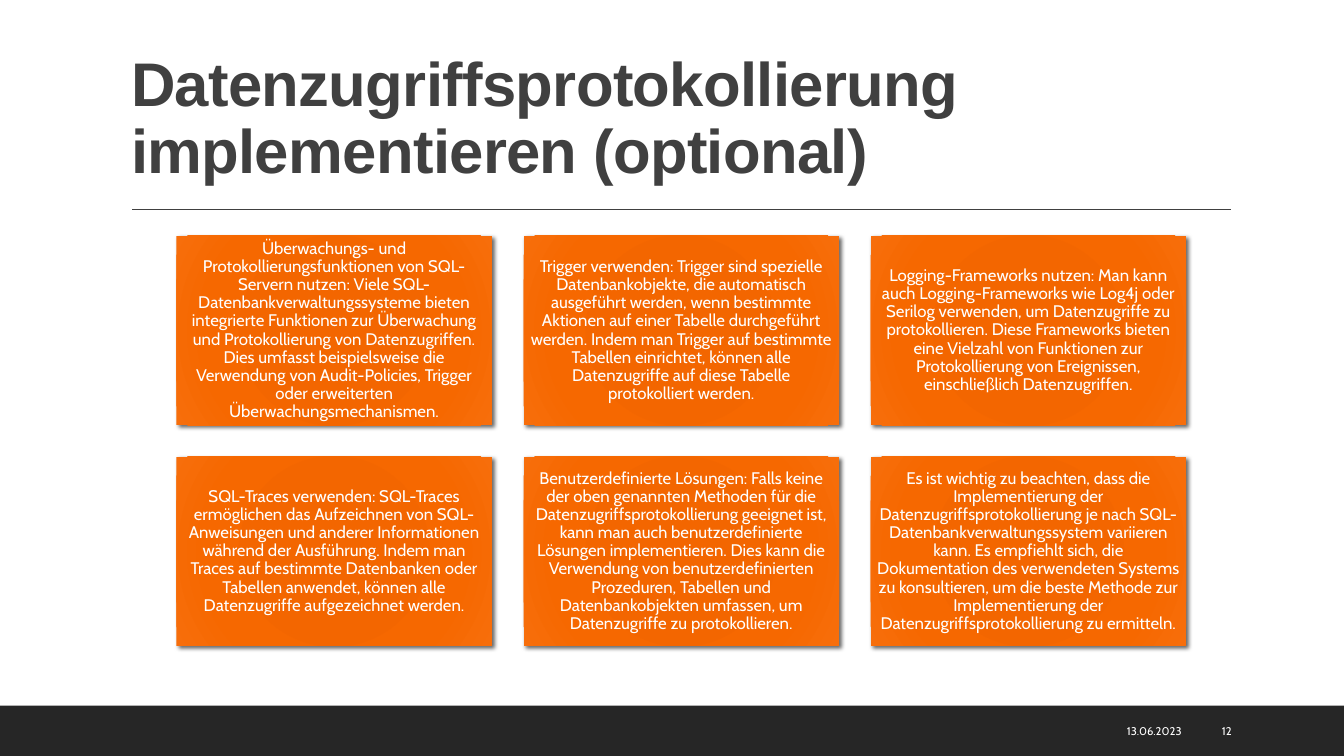
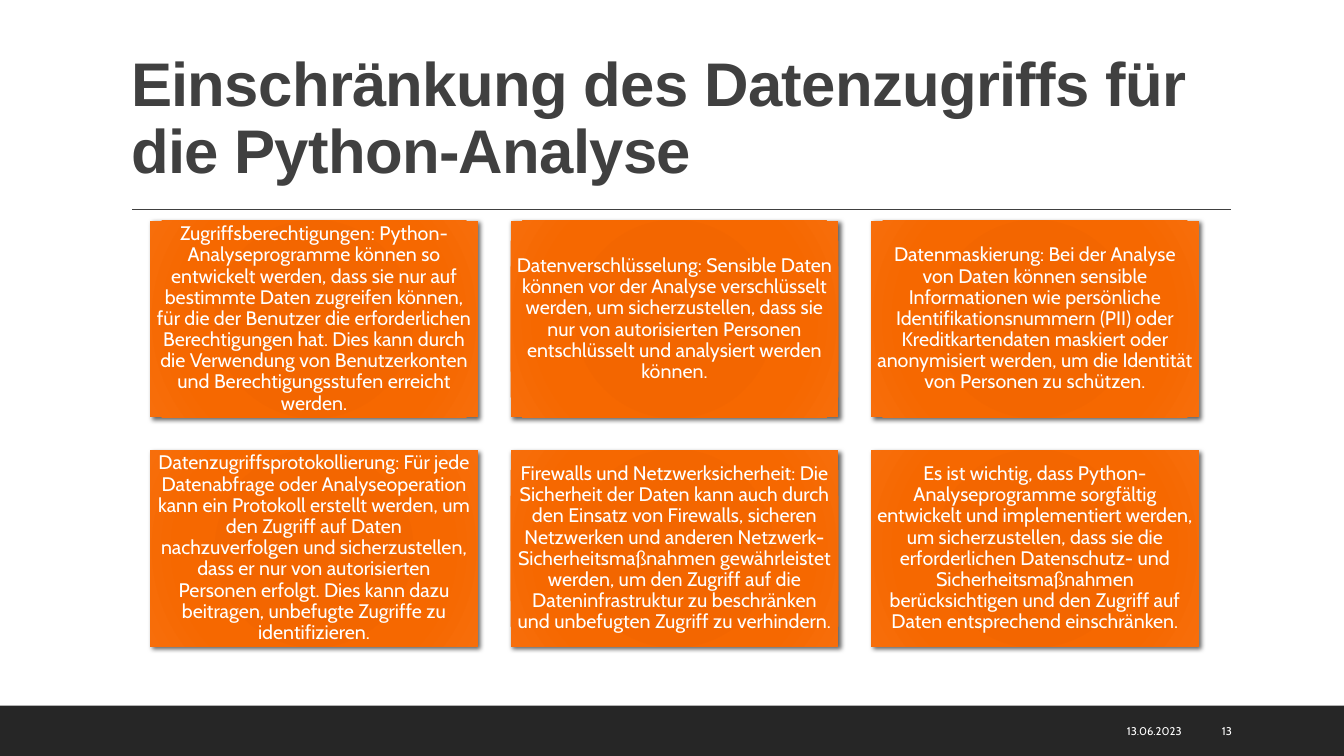
from dataclasses import dataclass

from lxml import etree
from pptx import Presentation
from pptx.dml.color import RGBColor
from pptx.enum.shapes import MSO_CONNECTOR, MSO_SHAPE
from pptx.enum.text import MSO_ANCHOR, MSO_AUTO_SIZE, PP_ALIGN
from pptx.oxml import parse_xml
from pptx.oxml.ns import nsdecls, qn
from pptx.util import Inches, Pt

RECT = MSO_SHAPE.RECTANGLE
STRAIGHT = MSO_CONNECTOR.STRAIGHT
LEFT, CENTER, RIGHT = PP_ALIGN.LEFT, PP_ALIGN.CENTER, PP_ALIGN.RIGHT
MIDDLE, BOTTOM = MSO_ANCHOR.MIDDLE, MSO_ANCHOR.BOTTOM
NO_FIT = MSO_AUTO_SIZE.NONE
TITLE_ONLY = 5


@dataclass(frozen=True)
class Theme:
    ink: str = "404040"
    band: str = "262626"
    light: str = "FFFFFF"
    shadow: str = "000000"
    card_stops: tuple = ((0, "F06500"), (34, "F36600"),
                         (70, "F66800"), (100, "F76E0B"))
    title_font: str = "Arial"
    body_font: str = "Cabin"
    title_size: int = 44
    footer_size: int = 8
    line_spacing: float = 0.9


class Deck:
    """Holds the theme, the presentation and the current slide."""

    def __init__(self, theme):
        self.theme = theme
        self.prs = Presentation()
        self.prs.slide_width = Inches(13.33)
        self.prs.slide_height = Inches(7.5)
        self.s = None

    # Shared parts
    def new_slide(self, title, date, number):
        self.s = self.prs.slides.add_slide(self.prs.slide_layouts[TITLE_ONLY])
        self.band()
        self.rule()
        self.title(title)
        self.footer(date, 8.99, 2.83, RIGHT)
        self.footer(str(number), 12.02, 0.85, LEFT)

    def band(self):
        sp = self.s.shapes.add_shape(RECT, 0, Inches(7),
                                     self.prs.slide_width, Inches(0.5))
        sp.shadow.inherit = False
        sp.fill.solid()
        sp.fill.fore_color.rgb = RGBColor.from_string(self.theme.band)
        sp.line.fill.background()

    def rule(self):
        line = self.s.shapes.add_connector(STRAIGHT, Inches(1.31), Inches(2.08),
                                           Inches(12.21), Inches(2.08))
        line.line.color.rgb = RGBColor.from_string(self.theme.ink)
        line.line.width = Pt(1)
        etree.SubElement(line.element.spPr, qn("a:effectLst"))

    def title(self, text):
        t = self.theme
        sp = self.s.shapes.title
        sp.left, sp.top = Inches(1.2), Inches(0.31)
        sp.width, sp.height = Inches(11), Inches(1.59)
        p = self.set_text(sp, text, t.title_size, t.title_font, t.ink, LEFT, BOTTOM)
        p.font.bold = True
        p.line_spacing = t.line_spacing
        for props in sp.element.iter(qn("a:defRPr")):
            props.set("spc", "-50")

    def footer(self, text, left, width, align):
        t = self.theme
        sp = self.s.shapes.add_textbox(Inches(left), Inches(7.05),
                                       Inches(width), Inches(0.4))
        self.set_text(sp, text, t.footer_size, t.body_font, t.light, align, MIDDLE)

    def set_text(self, sp, text, size, font, color, align, anchor):
        tf = sp.text_frame
        tf.text = text
        tf.word_wrap = True
        tf.auto_size = NO_FIT
        tf.vertical_anchor = anchor
        p = tf.paragraphs[0]
        p.alignment = align
        p.font.size = Pt(size)
        p.font.name = font
        p.font.color.rgb = RGBColor.from_string(color)
        return p

    # Cards
    def card(self, text, left, top, width, height, size, blur):
        t = self.theme
        sp = self.s.shapes.add_shape(RECT, Inches(left), Inches(top),
                                     Inches(width), Inches(height))
        sp.line.fill.background()
        self.radial_fill(sp)
        self.drop_shadow(sp, blur)
        p = self.set_text(sp, text, size, t.body_font, t.light, CENTER, MIDDLE)
        p.line_spacing = t.line_spacing
        tf = sp.text_frame
        inset = Inches(size / 240)
        tf.margin_left = tf.margin_right = inset
        tf.margin_top = tf.margin_bottom = inset

    def radial_fill(self, sp):
        stops = "".join(
            f'<a:gs pos="{pos * 1000}"><a:srgbClr val="{color}"/></a:gs>'
            for pos, color in self.theme.card_stops)
        fill = parse_xml(
            f'<a:gradFill {nsdecls("a")} rotWithShape="1"><a:gsLst>{stops}</a:gsLst>'
            '<a:path path="circle"><a:fillToRect l="100000" t="100000" '
            'r="100000" b="100000"/></a:path></a:gradFill>')
        sp.element.spPr.find(qn("a:ln")).addprevious(fill)

    def drop_shadow(self, sp, blur):
        sp.shadow.inherit = False
        effects = sp.element.spPr.find(qn("a:effectLst"))
        effects.append(parse_xml(
            f'<a:outerShdw {nsdecls("a")} blurRad="{Pt(blur)}" dist="{Pt(2)}" '
            f'dir="2700000" rotWithShape="0"><a:srgbClr val="{self.theme.shadow}">'
            '<a:alpha val="60000"/></a:srgbClr></a:outerShdw>'))

    def card_grid(self, texts, left, top, width, size, blur, columns=3):
        height, gap = 0.6 * width, 0.1 * width
        for i, text in enumerate(texts):
            row, col = divmod(i, columns)
            self.card(text, left + col * (width + gap), top + row * (height + gap),
                      width, height, size, blur)


DATE = "13.06.2023"
FIRST_NUMBER = 12

# Slide content: title, card texts, grid settings
SLIDES = [
    ("Datenzugriffsprotokollierung implementieren (optional)", [
        "Überwachungs- und Protokollierungsfunktionen von SQL-Servern nutzen: "
        "Viele SQL-Datenbankverwaltungssysteme bieten integrierte Funktionen zur "
        "Überwachung und Protokollierung von Datenzugriffen. Dies umfasst "
        "beispielsweise die Verwendung von Audit-Policies, Trigger oder "
        "erweiterten Überwachungsmechanismen.",
        "Trigger verwenden: Trigger sind spezielle Datenbankobjekte, die "
        "automatisch ausgeführt werden, wenn bestimmte Aktionen auf einer Tabelle "
        "durchgeführt werden. Indem man Trigger auf bestimmte Tabellen einrichtet, "
        "können alle Datenzugriffe auf diese Tabelle protokolliert werden.",
        "Logging-Frameworks nutzen: Man kann auch Logging-Frameworks wie Log4j "
        "oder Serilog verwenden, um Datenzugriffe zu protokollieren. Diese "
        "Frameworks bieten eine Vielzahl von Funktionen zur Protokollierung von "
        "Ereignissen, einschließlich Datenzugriffen.",
        "SQL-Traces verwenden: SQL-Traces ermöglichen das Aufzeichnen von "
        "SQL-Anweisungen und anderer Informationen während der Ausführung. Indem "
        "man Traces auf bestimmte Datenbanken oder Tabellen anwendet, können alle "
        "Datenzugriffe aufgezeichnet werden.",
        "Benutzerdefinierte Lösungen: Falls keine der oben genannten Methoden für "
        "die Datenzugriffsprotokollierung geeignet ist, kann man auch "
        "benutzerdefinierte Lösungen implementieren. Dies kann die Verwendung von "
        "benutzerdefinierten Prozeduren, Tabellen und Datenbankobjekten umfassen, "
        "um Datenzugriffe zu protokollieren.",
        "Es ist wichtig zu beachten, dass die Implementierung der "
        "Datenzugriffsprotokollierung je nach SQL-Datenbankverwaltungssystem "
        "variieren kann. Es empfiehlt sich, die Dokumentation des verwendeten "
        "Systems zu konsultieren, um die beste Methode zur Implementierung der "
        "Datenzugriffsprotokollierung zu ermitteln.",
    ], dict(left=1.75, top=2.34, width=3.13, size=12, blur=3)),
    ("Einschränkung des Datenzugriffs für die Python-Analyse", [
        "Zugriffsberechtigungen: Python-Analyseprogramme können so entwickelt "
        "werden, dass sie nur auf bestimmte Daten zugreifen können, für die der "
        "Benutzer die erforderlichen Berechtigungen hat. Dies kann durch die "
        "Verwendung von Benutzerkonten und Berechtigungsstufen erreicht werden.",
        "Datenverschlüsselung: Sensible Daten können vor der Analyse verschlüsselt "
        "werden, um sicherzustellen, dass sie nur von autorisierten Personen "
        "entschlüsselt und analysiert werden können.",
        "Datenmaskierung: Bei der Analyse von Daten können sensible Informationen "
        "wie persönliche Identifikationsnummern (PII) oder Kreditkartendaten "
        "maskiert oder anonymisiert werden, um die Identität von Personen zu "
        "schützen.",
        "Datenzugriffsprotokollierung: Für jede Datenabfrage oder Analyseoperation "
        "kann ein Protokoll erstellt werden, um den Zugriff auf Daten "
        "nachzuverfolgen und sicherzustellen, dass er nur von autorisierten "
        "Personen erfolgt. Dies kann dazu beitragen, unbefugte Zugriffe zu "
        "identifizieren.",
        "Firewalls und Netzwerksicherheit: Die Sicherheit der Daten kann auch "
        "durch den Einsatz von Firewalls, sicheren Netzwerken und anderen "
        "Netzwerk-Sicherheitsmaßnahmen gewährleistet werden, um den Zugriff auf "
        "die Dateninfrastruktur zu beschränken und unbefugten Zugriff zu "
        "verhindern.",
        "Es ist wichtig, dass Python-Analyseprogramme sorgfältig entwickelt und "
        "implementiert werden, um sicherzustellen, dass sie die erforderlichen "
        "Datenschutz- und Sicherheitsmaßnahmen berücksichtigen und den Zugriff "
        "auf Daten entsprechend einschränken.",
    ], dict(left=1.49, top=2.19, width=3.25, size=14, blur=3.5)),
]


def main():
    deck = Deck(Theme())
    for number, (title, texts, grid) in enumerate(SLIDES, FIRST_NUMBER):
        deck.new_slide(title, DATE, number)
        deck.card_grid(texts, **grid)
    deck.prs.save("out.pptx")


if __name__ == "__main__":
    main()
